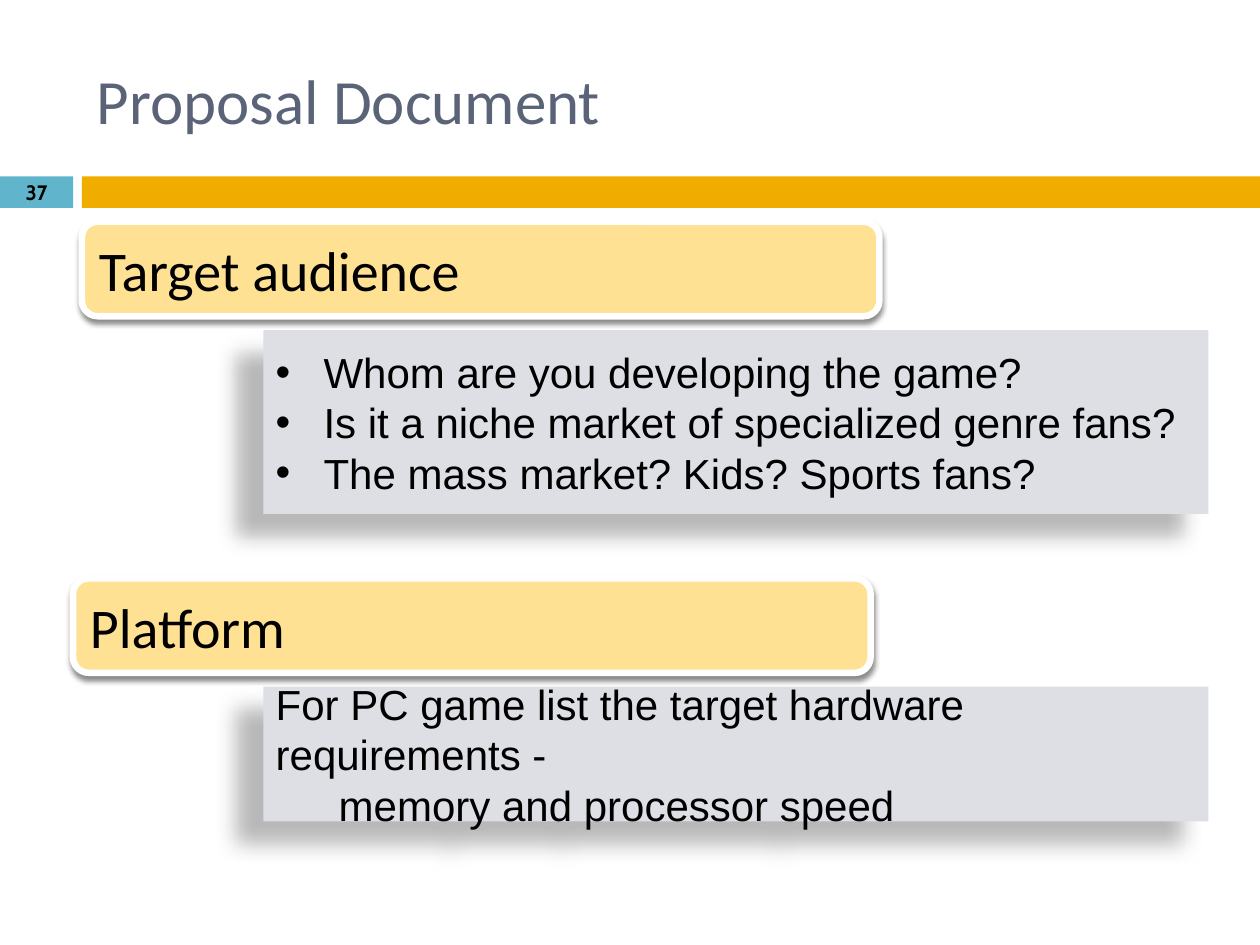
from lxml.etree import SubElement
from pptx import Presentation
from pptx.dml.color import RGBColor
from pptx.enum.shapes import MSO_SHAPE as Shape
from pptx.enum.text import MSO_ANCHOR as Anchor, PP_ALIGN as Align
from pptx.oxml.ns import qn
from pptx.util import Inches, Pt


def color(hex):
    return RGBColor.from_string(hex)


def shadow(shape, alpha, blur, dist, angle):
    effects = shape._element.spPr.find(qn("a:effectLst"))
    outer = SubElement(effects, qn("a:outerShdw"), blurRad=str(Pt(blur)),
                       dist=str(Pt(dist)), dir=str(angle * 60000),
                       algn="ctr", rotWithShape="0")
    tint = SubElement(outer, qn("a:srgbClr"), val="000000")
    SubElement(tint, qn("a:alpha"), val=str(alpha * 1000))


def block(slide, box, fill, kind=Shape.RECTANGLE):
    shape = slide.shapes.add_shape(kind, *map(Inches, box))
    shape.shadow.inherit = False
    shape.fill.solid()
    shape.fill.fore_color.rgb = color(fill)
    shape.line.fill.background()
    return shape


def write(shape, lines, font, size, ink="000000", align=Align.LEFT, bold=False):
    frame = shape.text_frame
    frame.word_wrap = True
    frame.vertical_anchor = Anchor.MIDDLE
    frame.text = "\n".join(lines)
    for para in frame.paragraphs:
        para.alignment = align
        para.font.name = font
        para.font.size = Pt(size)
        para.font.bold = bold
        para.font.color.rgb = color(ink)


def bullets(shape):
    for para in shape.text_frame.paragraphs:
        props = para._p.get_or_add_pPr()
        props.set("marL", str(Inches(0.38)))
        props.set("indent", str(Inches(-0.38)))
        SubElement(props, qn("a:buFont"), typeface="Arial")
        SubElement(props, qn("a:buChar"), char="•")
        props.append(props.find(qn("a:defRPr")))


def header(slide, box, title, number):
    left, top, width, height = box
    tab, gap, bar = 0.58, 0.07, 0.25
    base = top + height - bar
    block(slide, (left, base, tab, bar), "60B5CC")
    block(slide, (left + tab + gap, base, width - tab - gap, bar), "F0AD00")
    head = slide.shapes.add_textbox(*map(Inches, (left + 0.67, top, 8.92, 1.08)))
    write(head, [title], "Calibri", 36, "5A6378")
    page = slide.shapes.add_textbox(*map(Inches, (left, base, tab, bar)))
    write(page, [number], "Cabin", 11.9, align=Align.CENTER, bold=True)


def label(slide, box, text):
    shape = block(slide, box, "FFE193", Shape.ROUNDED_RECTANGLE)
    shape.line.color.rgb = color("FFFFFF")
    shape.line.width = Pt(3.75)
    shadow(shape, 45, 3, 2.4, 90)
    write(shape, [text], "Calibri", 32)


def section(slide, box, title, lines, listed):
    left, top, right, height = box
    label(slide, (left, top, 6.33, 0.75), title)
    panel = block(slide, (right - 7.5, top + 0.86, 7.5, height - 0.86), "DDDFE5")
    shadow(panel, 28, 11.8, 19.7, 141)
    write(panel, lines, "Arial", 24)
    if listed:
        bullets(panel)


def main():
    deck = Presentation()
    deck.slide_width, deck.slide_height = Inches(10), Inches(7.5)
    slide = deck.slides.add_slide(deck.slide_layouts[6])
    header(slide, (0, 0.25, 10, 1.4), "Proposal Document", "37")
    section(slide, (0.65, 1.76, 9.59, 2.32), "Target audience", [
        "Whom are you developing the game?",
        "Is it a niche market of specialized genre fans?",
        "The mass market? Kids? Sports fans?"], True)
    section(slide, (0.58, 4.59, 9.59, 1.93), "Platform", [
        "For PC game list the target hardware requirements -",
        "\tmemory and processor speed"], False)
    deck.save("out.pptx")


if __name__ == "__main__":
    main()
